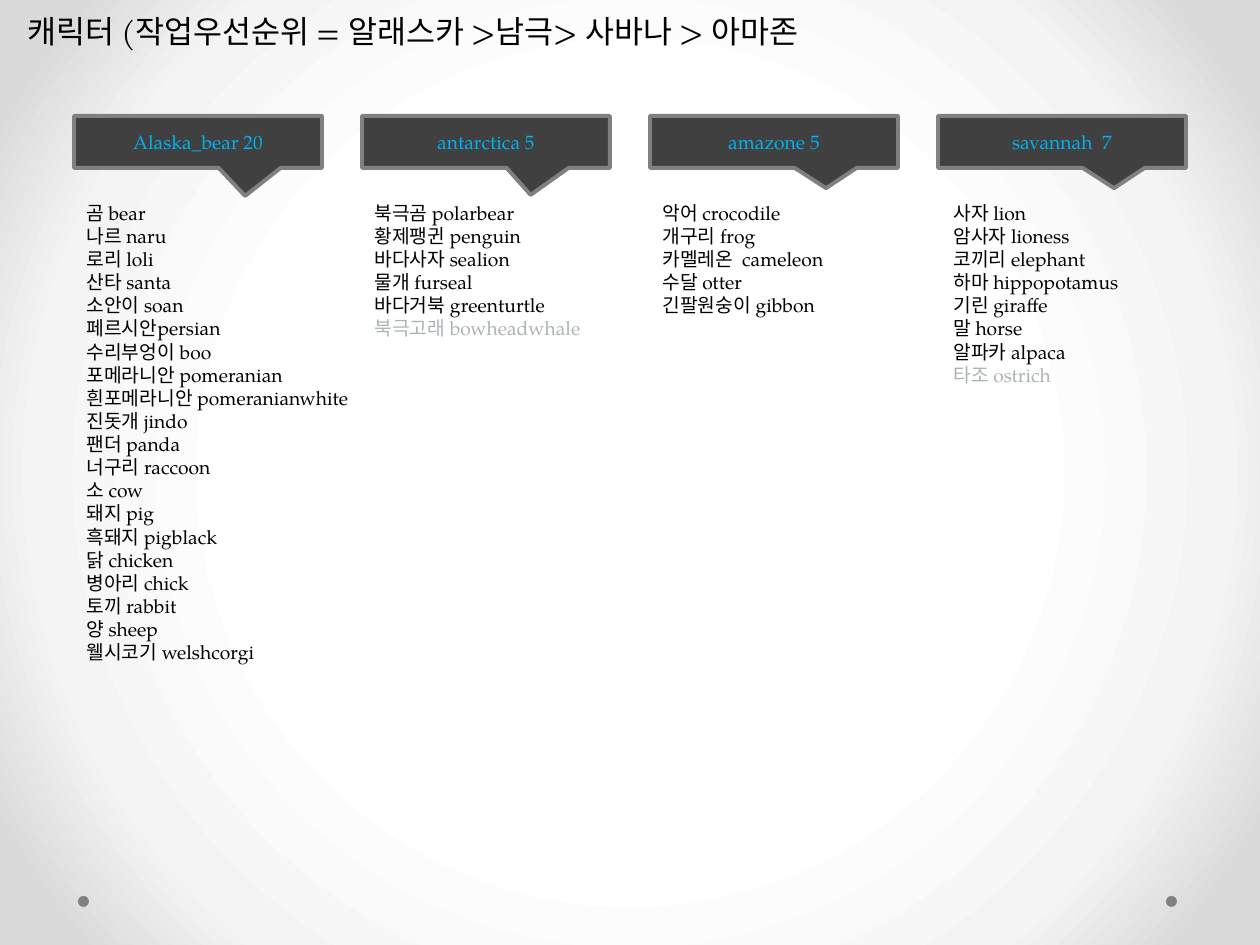
from lxml import etree
from pptx import Presentation
from pptx import util as u
from pptx.dml.color import RGBColor
from pptx.enum import shapes, text
from pptx.oxml import ns

PX = 914400 / 126
COLORS = {
    "text": "000000", "muted": "ACB3B6", "label": "00B0F0",
    "box": "404040", "edge": "808080",
}
BACKGROUND_STOPS = [(50, "FFFFFF"), (76, "F4F4F4"), (92, "DADADA")]


def px(length):
    return u.Emu(round(length * PX))


class SlideBuilder:
    """Holds the style and the slide being built."""
    font_name = "TeX Gyre Pagella"

    def __init__(self, slide):
        self.slide = slide

    def radial_background(self, stops):
        self.slide.background.fill.gradient()
        gradient = self.slide.element.find(".//" + ns.qn("a:gradFill"))
        for child in list(gradient):
            gradient.remove(child)
        stop_list = etree.SubElement(gradient, ns.qn("a:gsLst"))
        for position, color in stops:
            stop = etree.SubElement(stop_list, ns.qn("a:gs"), pos=str(position * 1000))
            etree.SubElement(stop, ns.qn("a:srgbClr"), val=color)
        circle = etree.SubElement(gradient, ns.qn("a:path"), path="circle")
        sides = dict.fromkeys("ltrb", "50000")
        etree.SubElement(circle, ns.qn("a:fillToRect"), **sides)

    def add_lines(self, frame, lines, size, align=None):
        """Add (words, color name) pairs, one paragraph each."""
        for index, (words, color) in enumerate(lines):
            paragraph = frame.add_paragraph() if index else frame.paragraphs[0]
            paragraph.alignment = align
            run = paragraph.add_run()
            run.text = words
            for name, value in {"name": self.font_name, "size": u.Pt(size)}.items():
                setattr(run.font, name, value)
            run.font.color.rgb = RGBColor.from_string(COLORS[color])

    def text_box(self, left, top, width, height, lines, size):
        box = self.slide.shapes.add_textbox(*map(px, (left, top, width, height)))
        frame = box.text_frame
        settings = {"word_wrap": True, "auto_size": text.MSO_AUTO_SIZE.SHAPE_TO_FIT_TEXT}
        for name, value in settings.items():
            setattr(frame, name, value)
        self.add_lines(frame, lines, size)

    def shape(self, kind, left, top, width, height, fill):
        shape = self.slide.shapes.add_shape(kind, *map(px, (left, top, width, height)))
        shape.shadow.inherit = False
        shape.fill.solid()
        shape.fill.fore_color.rgb = RGBColor.from_string(COLORS[fill])
        return shape

    def dot(self, left, top, size):
        dot = self.shape(shapes.MSO_SHAPE.OVAL, left, top, size, size, "edge")
        dot.line.fill.background()

    def callout(self, left, top, width, height, tip, label):
        callout = self.shape(shapes.MSO_SHAPE.RECTANGULAR_CALLOUT,
                             left, top, width, height, "box")
        for index, value in enumerate(tip):
            callout.adjustments[index] = value
        callout.line.color.rgb = RGBColor.from_string(COLORS["edge"])
        callout.line.width = u.Pt(2.25)
        callout.text_frame.vertical_anchor = text.MSO_ANCHOR.MIDDLE
        self.add_lines(callout.text_frame, [(label, "label")], 11, text.PP_ALIGN.CENTER)


# Each region: label, callout tip, list box (left, width, height), names, muted names
REGIONS = [
    ("Alaska_bear 20", (0.19, 1.04), (74, 412, 479),
     ["곰 bear", "나르 naru", "로리 loli", "산타 santa", "소안이 soan",
      "페르시안persian", "수리부엉이 boo", "포메라니안 pomeranian",
      "흰포메라니안 pomeranianwhite", "진돗개 jindo", "팬더 panda",
      "너구리 raccoon", "소 cow", "돼지 pig", "흑돼지 pigblack", "닭 chicken",
      "병아리 chick", "토끼 rabbit", "양 sheep", "웰시코기 welshcorgi"], []),
    ("antarctica 5", (0.18, 1.02), (362, 307, 217),
     ["북극곰 polarbear", "황제팽귄 penguin", "바다사자 sealion", "물개 furseal",
      "바다거북 greenturtle"], ["북극고래 bowheadwhale"]),
    ("amazone 5", (0.21, 0.89), (650, 258, 205),
     ["악어 crocodile", "개구리 frog", "카멜레온  cameleon", "수달 otter",
      "긴팔원숭이 gibbon"], []),
    ("savannah  7", (0.21, 0.89), (941, 258, 305),
     ["사자 lion", "암사자 lioness", "코끼리 elephant", "하마 hippopotamus",
      "기린 giraffe", "말 horse", "알파카 alpaca"], ["타조 ostrich"]),
]


def main():
    presentation = Presentation()
    presentation.slide_width, presentation.slide_height = px(1260), px(945)
    builder = SlideBuilder(presentation.slides.add_slide(presentation.slide_layouts[6]))

    # Background and corner dots
    builder.radial_background(BACKGROUND_STOPS)
    for left in (1166, 78):
        builder.dot(left, 896, 11)

    # Title
    title = "캐릭터 (작업우선순위 = 알래스카 >남극> 사바나 > 아마존"
    builder.text_box(15, 6, 883, 50, [(title, "text")], 18)

    # Region callouts with their animal lists
    for column, (label, tip, (left, width, height), names, muted) in enumerate(REGIONS):
        builder.callout(74 + 288 * column, 116, 248, 52, tip, label)
        lines = [(name, "text") for name in names] + [(name, "muted") for name in muted]
        builder.text_box(left, 195, width, height, lines, 11)

    presentation.save("out.pptx")


if __name__ == "__main__":
    main()
